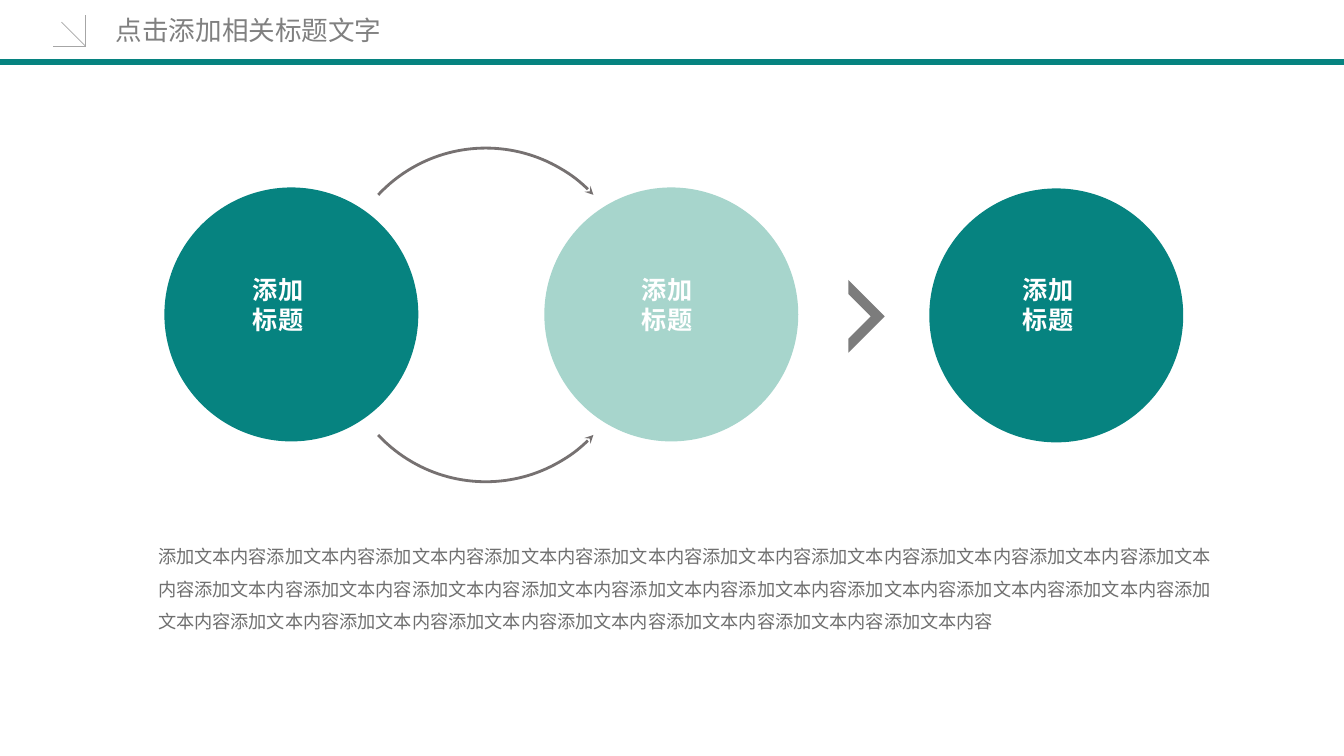
"""Build a slide with three circles, two linking arcs and a closing paragraph."""
from pptx import Presentation
from pptx.dml.color import RGBColor
from pptx.enum.shapes import MSO_CONNECTOR as Link, MSO_SHAPE as Preset
from pptx.enum.text import MSO_ANCHOR as Anchor, MSO_AUTO_SIZE as Fit, PP_ALIGN as Align
from pptx.oxml.xmlchemy import OxmlElement
from pptx.util import Pt

COLORS = {
    "teal": "068380", "mint": "A7D5CC", "arc": "767171", "chevron": "7C7C7C",
    "corner": "A6A6A6", "title": "808080", "body": "6F6F6F", "white": "FFFFFF",
}
CJK_FONT = "Noto Sans CJK SC"
DIAMETER = 181.4


def color(name):
    """Return the named colour."""
    return RGBColor.from_string(COLORS[name])


def place(box, left, top, width, height):
    """Move and size a box."""
    box.left, box.top, box.width, box.height = map(Pt, (left, top, width, height))


def write(frame, text, size, ink, font="Calibri", bold=False, wrap=True,
          anchor=Anchor.TOP, spacing=1.0, fit=Fit.NONE):
    """Fill a text frame, one paragraph per line of text."""
    frame.text = text
    frame.word_wrap, frame.auto_size, frame.vertical_anchor = wrap, fit, anchor
    for paragraph in frame.paragraphs:
        paragraph.alignment, paragraph.line_spacing = Align.LEFT, spacing
        for run in paragraph.runs:
            run.font.size, run.font.bold, run.font.name = Pt(size), bold, font
            run.font.color.rgb = color(ink)
            east_asian = OxmlElement("a:ea")
            east_asian.set("typeface", CJK_FONT)
            run.font._element.append(east_asian)


def add_text(shapes, box, text, **style):
    """Add a text box."""
    write(shapes.add_textbox(*map(Pt, box)).text_frame, text, **style)


def fill_plain(shape, fill):
    """Give a shape a flat fill without line or shadow."""
    shape.shadow.inherit = False
    shape.fill.solid()
    shape.fill.fore_color.rgb = color(fill)
    shape.line.fill.background()


def add_circle(shapes, left, top, fill):
    """Add a filled circle."""
    box = map(Pt, (left, top, DIAMETER, DIAMETER))
    fill_plain(shapes.add_shape(Preset.OVAL, *box), fill)


def add_arc(shapes, top, start, end, arrow_end):
    """Add an arc between two clockwise angles with an arrowhead at one end."""
    arc = shapes.add_shape(Preset.ARC, *map(Pt, (241.9, top, 210.2, 210.2)))
    arc.adjustments[0], arc.adjustments[1] = start * 0.6, end * 0.6
    arc.shadow.inherit = False
    arc.fill.background()
    arc.line.color.rgb, arc.line.width = color("arc"), Pt(2)
    arrowhead = OxmlElement(arrow_end)
    arrowhead.set("type", "stealth")
    arc.line._get_or_add_ln().append(arrowhead)


def add_chevron(shapes, left, top, half, thickness):
    """Add a chevron pointing right, with its ends cut vertically."""
    bottom, middle = top + 2 * half, top + half
    builder = shapes.build_freeform(left + half, middle, scale=Pt(1))
    builder.add_line_segments([
        (left, bottom), (left, bottom - thickness),
        (left + half - thickness, middle),
        (left, top + thickness), (left, top),
    ])
    fill_plain(builder.convert_to_shape(), "chevron")


def add_line(shapes, start, end, ink, width):
    """Add a straight line without shadow."""
    line = shapes.add_connector(Link.STRAIGHT, *map(Pt, (*start, *end)))
    line.line.color.rgb, line.line.width = color(ink), Pt(width)
    line._element.spPr.append(OxmlElement("a:effectLst"))


def main():
    """Build and save the slide."""
    deck = Presentation()
    deck.slide_width, deck.slide_height = Pt(960), Pt(540)
    slide = deck.slides.add_slide(deck.slide_layouts[5])
    shapes = slide.shapes

    add_arc(shapes, 105.8, 223, 317, "a:tailEnd")
    add_arc(shapes, 133.9, 43, 137, "a:headEnd")
    add_chevron(shapes, left=606.2, top=200.2, half=25.9, thickness=9.6)

    steps = [(117.4, 133.9, "teal", 173.5), (388.8, 133.9, "mint", 451.4),
             (663.8, 134.6, "teal", 723.6)]
    for left, top, fill, _ in steps:
        add_circle(shapes, left, top, fill)
    for *_, label_left in steps:
        add_text(shapes, (label_left, 192.2, 51, 51), "添加\n标题", size=18,
                 ink="white", bold=True, wrap=False, fit=Fit.SHAPE_TO_FIT_TEXT)

    add_text(shapes, (105.8, 378, 776.9, 80), "添加文本内容" * 27, size=13,
             ink="body", spacing=1.5, fit=Fit.SHAPE_TO_FIT_TEXT)

    add_line(shapes, (0, 44.5), (960, 44.5), "teal", 4.5)
    corner = shapes.add_group_shape().shapes
    tip = (61.2, 33.1)
    for start in [(38.2, 33.1), (61.2, 10.8), (43.9, 15.8)]:
        add_line(corner, start, tip, "corner", 0.5)

    place(shapes.title, 75.6, 5.8, 220.3, 31.7)
    write(shapes.title.text_frame, "点击添加相关标题文字", size=19, ink="title",
          font=CJK_FONT, anchor=Anchor.MIDDLE)
    deck.save("out.pptx")


if __name__ == "__main__":
    main()
